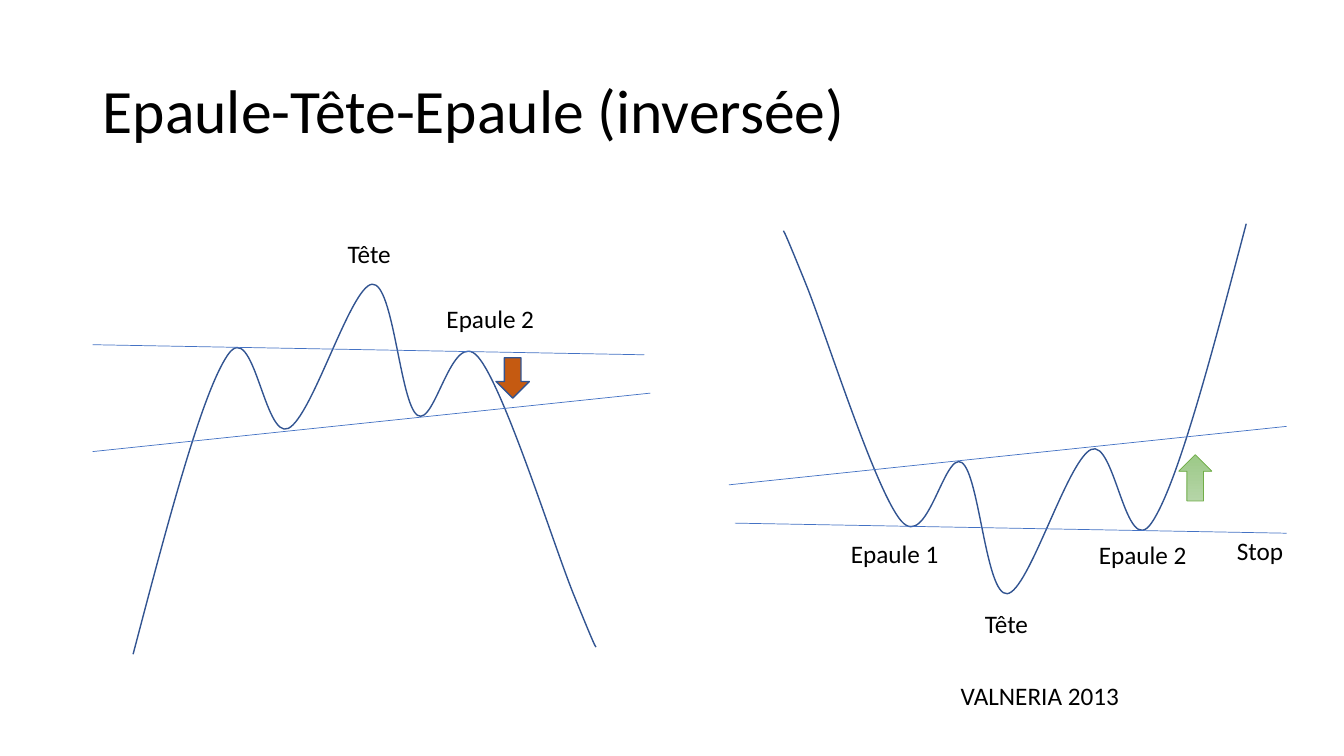
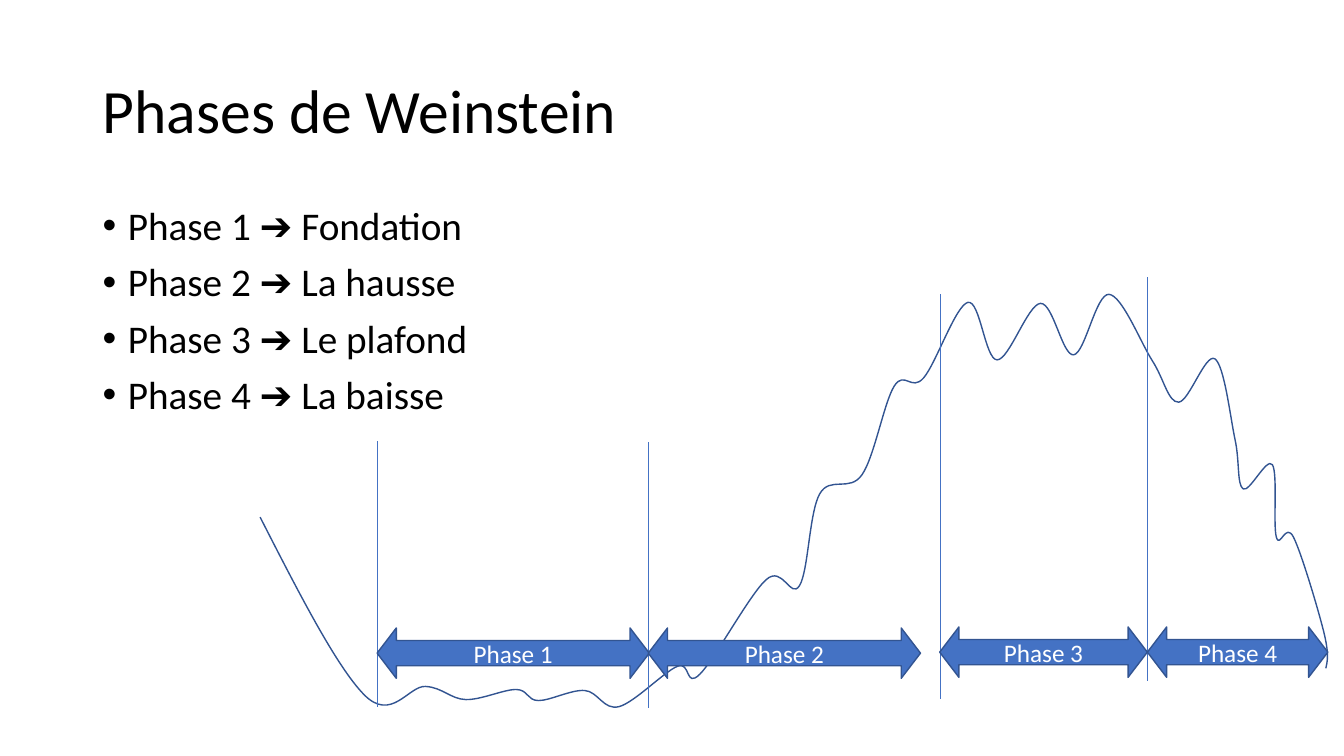
import pptx
import pptx.util
import pptx.dml.color
import pptx.enum.shapes
import pptx.enum.text
import pptx.oxml.ns
import lxml.etree

RGB = pptx.dml.color.RGBColor
SHAPE = pptx.enum.shapes.MSO_SHAPE
ALIGN = pptx.enum.text.PP_ALIGN
ANCHOR = pptx.enum.text.MSO_ANCHOR
FIT = pptx.enum.text.MSO_AUTO_SIZE.SHAPE_TO_FIT_TEXT
Pt = pptx.util.Pt
qn = pptx.oxml.ns.qn

BLACK = RGB(0x00, 0x00, 0x00)
WHITE = RGB(0xFF, 0xFF, 0xFF)
BLUE = RGB(0x44, 0x72, 0xC4)
NAVY = RGB(0x32, 0x54, 0x91)
RUST = RGB(0xC5, 0x5A, 0x11)
GREEN = RGB(0x70, 0xAD, 0x47)
LEAF = RGB(0x9C, 0xC9, 0x87)
MINT = RGB(0xB5, 0xD5, 0xA7)

FONT = "Calibri"
SCALE = 9144  # EMU per px, 100 px to the inch


def emu(*sizes):
    return [pptx.util.Emu(round(size * SCALE)) for size in sizes]


def middle(a, b):
    return [(p + q) / 2 for p, q in zip(a, b)]


def smooth(knots):
    """Bezier triples of a spline whose tangents follow the neighbour knots."""
    slopes = [[(c - a) / 6 for a, c in zip(prev, post)]
              for prev, post in zip(knots, knots[2:])]
    into = [[p - s for p, s in zip(*pair)] for pair in zip(knots[1:], slopes)]
    out = [[p + s for p, s in zip(*pair)] for pair in zip(knots[1:], slopes)]
    out.insert(0, middle(knots[0], into[0]))
    into.append(middle(out[-1], knots[-1]))
    return list(zip(out, into, knots[1:]))


class Deck:
    def __init__(self):
        self.show = pptx.Presentation()
        self.show.slide_width, self.show.slide_height = emu(1333, 750)
        self.slide = None

    def page(self, title):
        self.slide = self.show.slides.add_slide(self.show.slide_layouts[6])
        frame = self.text(title, 92, 40, 1150, 145, size=44)
        frame.vertical_anchor = ANCHOR.MIDDLE
        frame.paragraphs[0].line_spacing = 0.9

    def style(self, frame, size, color):
        for para in frame.paragraphs:
            for run in para.runs:
                run.font.name = FONT
                run.font.size = Pt(size)
                run.font.color.rgb = color

    def text(self, words, x, y, w, h, size=18):
        frame = self.slide.shapes.add_textbox(*emu(x, y, w, h)).text_frame
        frame.word_wrap = True
        frame.text = words
        self.style(frame, size, BLACK)
        return frame

    def label(self, words, x, y, w, wrap=True):
        frame = self.text(words, x, y, w, 40)
        frame.word_wrap = wrap
        frame.auto_size = FIT

    def list(self, items, x, y, w, h):
        frame = self.text("\n".join(items), x, y, w, h, size=28)
        for para in frame.paragraphs:
            para.line_spacing = 0.9
            para.space_before = Pt(10)
            props = para._p.get_or_add_pPr()
            props.set("marL", str(25 * SCALE))
            props.set("indent", str(-25 * SCALE))
            font = lxml.etree.SubElement(props, qn("a:buFont"))
            font.set("typeface", "Arial")
            lxml.etree.SubElement(props, qn("a:buChar")).set("char", "•")

    def line(self, start, end):
        line = self.slide.shapes.add_connector(
            pptx.enum.shapes.MSO_CONNECTOR.STRAIGHT, *emu(*start, *end))
        line.line.color.rgb = BLUE
        line.line.width = Pt(0.5)
        lxml.etree.SubElement(line._element.spPr, qn("a:effectLst"))

    def curve(self, knots):
        first, *rest = [emu(*knot) for knot in knots]
        pen = self.slide.shapes.build_freeform(*first)
        pen.add_line_segments(rest, close=False)
        shape = pen.convert_to_shape()
        # Bend each straight segment into a Bezier
        pieces = list(shape._element.iter(qn("a:lnTo")))
        for piece, triple in zip(pieces, smooth(knots)):
            bend = lxml.etree.Element(qn("a:cubicBezTo"))
            for point in triple:
                x, y = emu(*point)
                spot = lxml.etree.SubElement(bend, qn("a:pt"))
                spot.set("x", str(x - shape.left))
                spot.set("y", str(y - shape.top))
            piece.getparent().replace(piece, bend)
        shape.fill.background()
        self.edge(shape, NAVY, 1)

    def edge(self, shape, color, width):
        shape.shadow.inherit = False
        shape.line.color.rgb = color
        shape.line.width = Pt(width)

    def arrow(self, kind, x, y, w, h, fill, edge=NAVY, width=1):
        """A list of two colours as fill gives a gradient from the top down."""
        shape = self.slide.shapes.add_shape(kind, *emu(x, y, w, h))
        if isinstance(fill, list):
            shape.fill.gradient()
            shape.fill.gradient_angle = 270
            for stop, color in zip(shape.fill.gradient_stops, fill):
                stop.color.rgb = color
        else:
            shape.fill.solid()
            shape.fill.fore_color.rgb = fill
        self.edge(shape, edge, width)
        return shape

    def phase(self, words, x, y, w):
        shape = self.arrow(SHAPE.LEFT_RIGHT_ARROW, x, y, w, 50, BLUE)
        shape.adjustments[0] = 0.5
        shape.adjustments[1] = 0.382
        frame = shape.text_frame
        frame.text = words
        frame.vertical_anchor = ANCHOR.MIDDLE
        frame.paragraphs[0].alignment = ALIGN.CENTER
        self.style(frame, 18, WHITE)


PEAKS = [(132, 649), (226, 352), (286, 425), (369, 282), (414, 412),
         (474, 354), (569, 590), (591, 642)]
NECKS = [((92, 448), (645, 390)), ((92, 342), (639, 352))]

CYCLE = [(258, 513), (361, 689), (422, 681), (462, 694), (512, 684),
         (534, 695), (580, 685), (614, 701), (672, 661), (694, 669),
         (760, 575), (793, 581), (813, 490), (855, 471), (887, 383),
         (916, 375), (960, 300), (989, 357), (1032, 301), (1065, 352),
         (1100, 292), (1143, 358), (1169, 399), (1205, 356), (1225, 436),
         (1233, 485), (1262, 461), (1266, 533), (1283, 533), (1313, 627),
         (1315, 663)]


def turn(point):
    """Half turn that maps the left pattern onto the right one."""
    return 1368 - point[0], 871 - point[1]


def shoulders(deck):
    deck.page("Epaule-Tête-Epaule (inversée)")

    # Pattern and its inverse
    for move in (tuple, turn):
        deck.curve([move(knot) for knot in PEAKS])
        for start, end in NECKS:
            deck.line(move(start), move(end))

    # Signals
    deck.arrow(SHAPE.DOWN_ARROW, 492, 355, 33, 40, RUST)
    deck.arrow(SHAPE.UP_ARROW, 1169, 451, 33, 46, [LEAF, MINT], GREEN, 0.5)

    # Labels
    for words, x, y, w in (("Tête", 335, 232, 66), ("Tête", 967, 599, 66),
                           ("Epaule 2", 433, 296, 117),
                           ("Epaule 1", 834, 529, 117),
                           ("Epaule 2", 1080, 530, 117)):
        deck.label(words, x, y, w)
    deck.label("Stop", 1217, 526, 67, wrap=False)
    deck.label("VALNERIA 2013", 943, 670, 178, wrap=False)


def phases(deck):
    deck.page("Phases de Weinstein")
    names = ["Fondation", "La hausse", "Le plafond", "La baisse"]
    deck.list([f"Phase {i} ➔ {name}" for i, name in enumerate(names, 1)],
              92, 200, 1150, 476)

    # Price curve and phase limits
    deck.curve(CYCLE)
    for x, top, tall in ((374, 438, 263), (643, 439, 263),
                         (933, 292, 401), (1138, 275, 401)):
        deck.line((x, top), (x, top + tall))

    # Phase arrows
    spans = [(374, 623, 270), (643, 623, 270), (932, 622, 206),
             (1138, 622, 179)]
    for i, span in enumerate(spans, 1):
        deck.phase(f"Phase {i}", *span)


def main():
    deck = Deck()
    shoulders(deck)
    phases(deck)
    deck.show.save("out.pptx")


if __name__ == "__main__":
    main()
